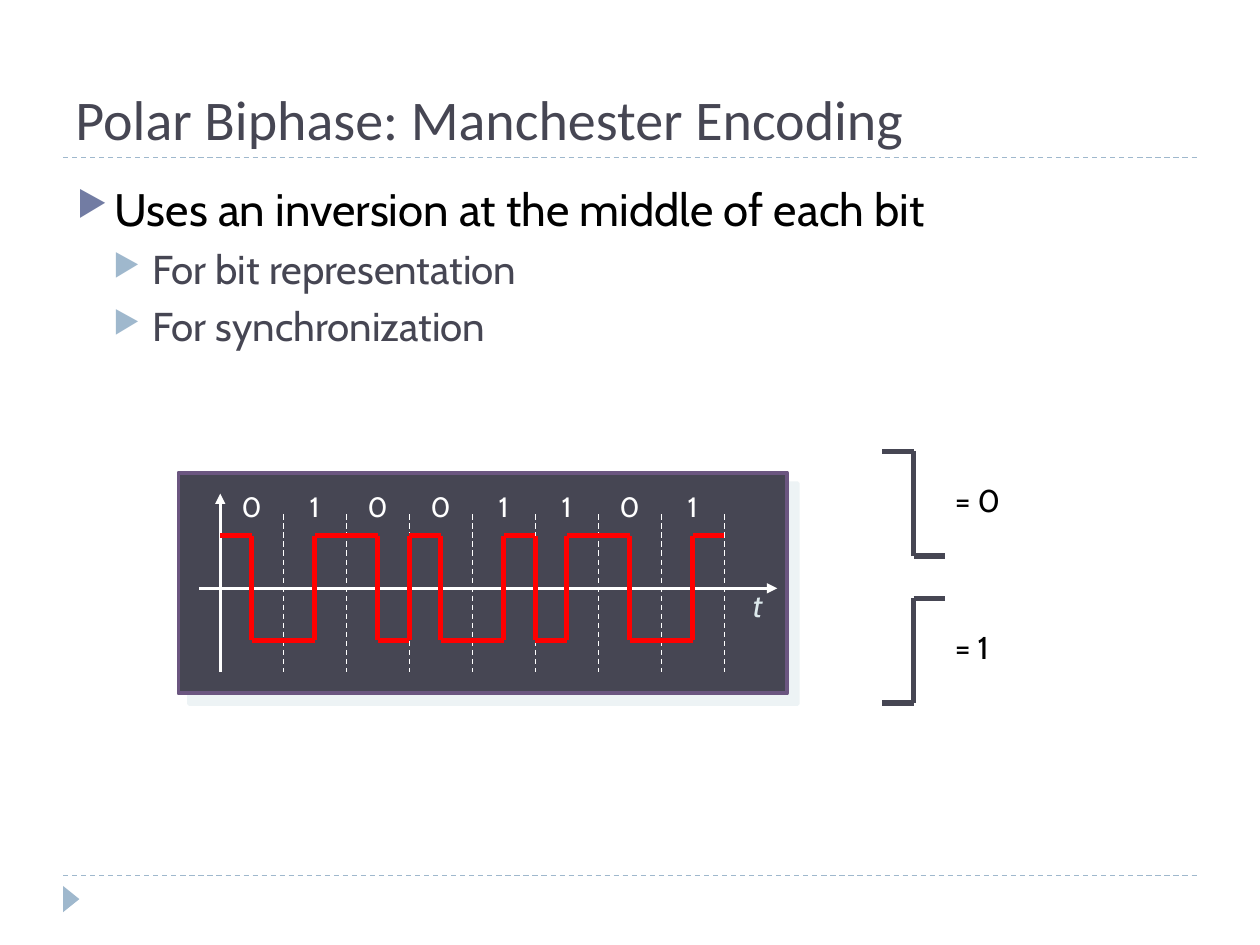
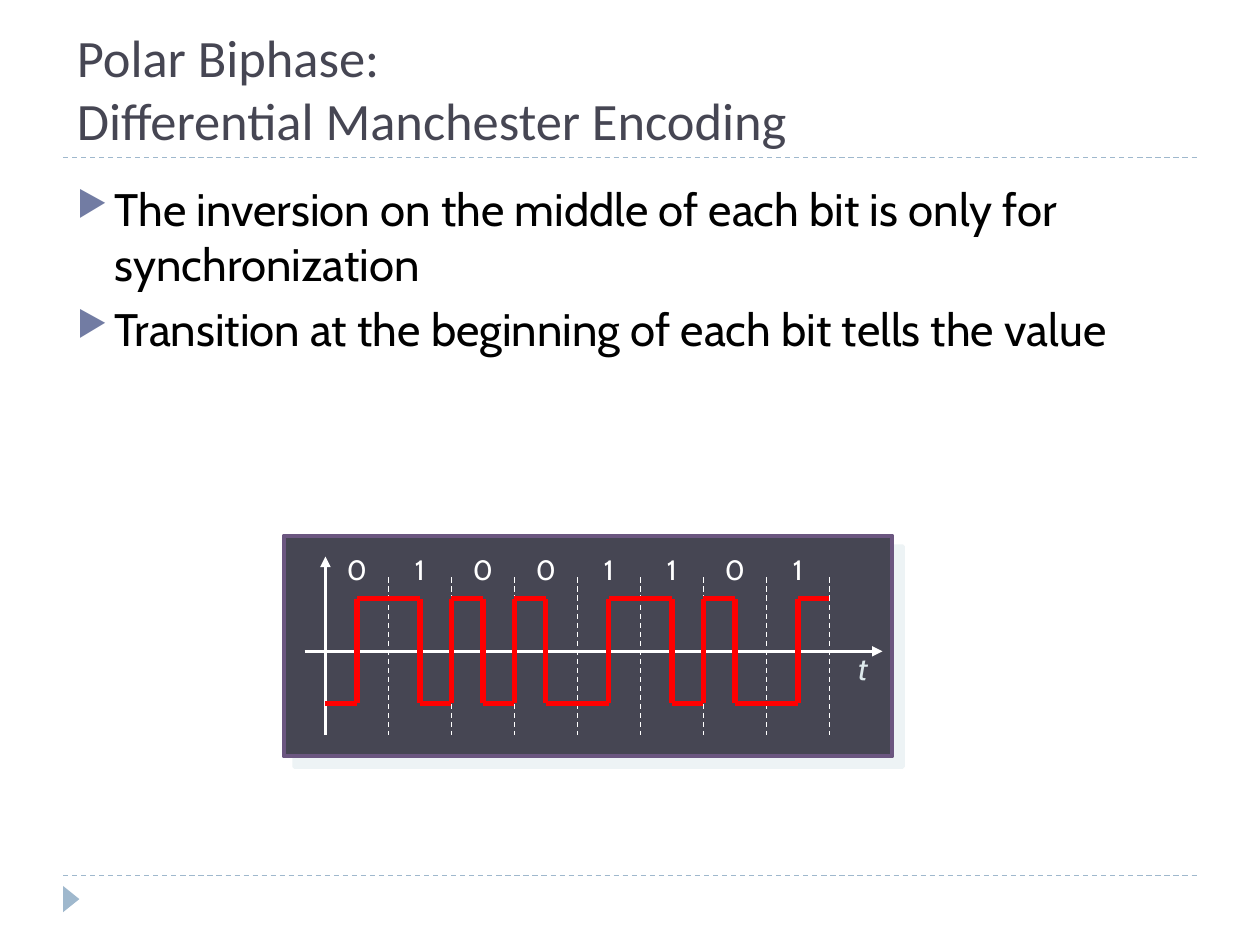
"""Build two slides on Manchester and differential Manchester encoding."""
import lxml.etree
import pptx
import pptx.dml.color
import pptx.enum.dml
import pptx.enum.shapes
import pptx.enum.text
import pptx.oxml.ns
import pptx.util

Cm = pptx.util.Cm
Pt = pptx.util.Pt
RGB = pptx.dml.color.RGBColor
qn = pptx.oxml.ns.qn
KIND = pptx.enum.shapes.MSO_SHAPE
ALIGN = pptx.enum.text.PP_ALIGN
ANCHOR = pptx.enum.text.MSO_ANCHOR

SLATE = RGB(0x46, 0x46, 0x53)
SKY = RGB(0x9F, 0xB8, 0xCD)
INDIGO = RGB(0x72, 0x7C, 0xA3)
PLUM = RGB(0x6B, 0x56, 0x80)
ICE = RGB(0xDD, 0xE9, 0xEC)
WHITE = RGB(0xFF, 0xFF, 0xFF)
BLACK = RGB(0, 0, 0)
RED = RGB(0xFF, 0, 0)

HEAD = "Calibri"
BODY = "Cabin"
BITS = "01001101"
BIT = 1.27
SWING = 2.11
LEVELS = (
    {"size": 26, "ink": BLACK, "mark": INDIGO, "left": 0.76, "hang": 0.76, "gap": 6},
    {"size": 23, "ink": SLATE, "mark": SKY, "left": 1.52, "hang": 0.79, "gap": 5},
)


def node(parent, tag, **attrs):
    """Append a DrawingML element to parent and return it."""
    item = lxml.etree.SubElement(parent, qn(tag))
    for key, value in attrs.items():
        item.set(key, str(value))
    return item


def write(para, text, size, ink, font=BODY, slant=None):
    """Add one styled run to a paragraph."""
    run = para.add_run()
    run.text = text
    run.font.size = Pt(size)
    run.font.name = font
    run.font.color.rgb = ink
    run.font.italic = slant


def frame(shapes, x, y, width, height):
    """Add a wrapping text box and return its text frame."""
    text = shapes.add_textbox(Cm(x), Cm(y), Cm(width), Cm(height)).text_frame
    text.word_wrap = True
    return text


def label(shapes, x, y, width, text, size, ink, align=ALIGN.LEFT, slant=None):
    """Add a short label in a box one line high."""
    para = frame(shapes, x, y, width, 1).paragraphs[0]
    para.alignment = align
    write(para, text, size, ink, slant=slant)


def line(shapes, start, end, ink, width, dash=False, arrow=False):
    """Draw a straight line between two points."""
    link = shapes.add_connector(
        pptx.enum.shapes.MSO_CONNECTOR.STRAIGHT, *(Cm(v) for v in (*start, *end)))
    link.line.color.rgb = ink
    link.line.width = Pt(width)
    if dash:
        link.line.dash_style = pptx.enum.dml.MSO_LINE.DASH
    props = link.element.spPr
    if arrow:
        node(props.find(qn("a:ln")), "a:tailEnd", type="triangle")
    node(props, "a:effectLst")


def title(slide, lines, size, x, y, width, height):
    """Add the slide title, anchored just above the rule."""
    text = frame(slide.shapes, x, y, width, height)
    text.vertical_anchor = ANCHOR.BOTTOM
    para = text.paragraphs[0]
    for i, part in enumerate(lines):
        if i:
            para.add_line_break()
        write(para, part, size, SLATE, HEAD)


def bullets(slide, items):
    """Add the bulleted body from (level, text) pairs."""
    text = frame(slide.shapes, 1.3, 3.53, 22.86, 13.77)
    for i, (depth, words) in enumerate(items):
        style = LEVELS[depth]
        para = text.add_paragraph() if i else text.paragraphs[0]
        para.level = depth
        if i:
            para.space_before = Pt(style["gap"])
        props = para._p.get_or_add_pPr()
        props.set("marL", str(Cm(style["left"])))
        props.set("indent", str(-Cm(style["hang"])))
        node(node(props, "a:buClr"), "a:srgbClr", val=style["mark"])
        node(props, "a:buSzPct", val=76000)
        node(props, "a:buChar", char="▶")
        write(para, words, style["size"], style["ink"])


def base(deck):
    """Add a blank slide with the two rules and the corner mark."""
    slide = deck.slides.add_slide(deck.slide_layouts[6])
    for y in (17.65, 3.18):
        line(slide.shapes, (1.27, y), (24.13, y), SKY, 0.75, dash=True)
    mark = slide.shapes.add_shape(
        KIND.ISOSCELES_TRIANGLE, Cm(1.17), Cm(17.96), Cm(0.53), Cm(0.33))
    mark.rotation = 90
    mark.shadow.inherit = False
    mark.fill.solid()
    mark.fill.fore_color.rgb = SKY
    mark.line.fill.background()
    return slide


def wave(shapes, x, y, highs, ink):
    """Draw a square wave from one high or low state per half bit."""
    half = BIT / 2
    last = highs[0]
    for i, high in enumerate(highs):
        left = x + i * half
        level = y if high else y + SWING
        if high != last:
            line(shapes, (left, y + SWING), (left, y), ink, 3)
        line(shapes, (left, level), (left + half, level), ink, 3)
        last = high


def plain(bits):
    """Return Manchester half-bit states: 0 falls and 1 rises."""
    return [high for bit in bits for high in (bit == "0", bit == "1")]


def differ(bits):
    """Return differential Manchester states: only 0 flips at its start."""
    highs = []
    high = True
    for bit in bits:
        if bit == "0":
            high = not high
        highs += [high, not high]
        high = not high
    return highs


def panel(shapes, x, y):
    """Draw the dark panel with its hard offset shadow."""
    box = shapes.add_shape(KIND.RECTANGLE, Cm(x), Cm(y), Cm(12.27), Cm(4.45))
    box.fill.solid()
    box.fill.fore_color.rgb = SLATE
    box.line.color.rgb = PLUM
    box.line.width = Pt(2.25)
    box.shadow.inherit = False
    shade = node(box.element.spPr.find(qn("a:effectLst")), "a:outerShdw",
                 dist=Pt(8.5), dir=45 * 60000, algn="ctr", rotWithShape=0)
    node(node(shade, "a:srgbClr", val=ICE), "a:alpha", val=50000)


def graph(slide, x, y, highs):
    """Draw the signal graph with axes, bit cells and wave."""
    shapes = slide.shapes.add_group_shape().shapes
    zero = x + 0.84
    foot = y + 4.02
    panel(shapes, x, y)
    line(shapes, (zero, foot), (zero, y + 0.42), WHITE, 1.5, arrow=True)
    line(shapes, (x + 0.42, y + 2.33), (x + 12.07, y + 2.33), WHITE, 1.5, arrow=True)
    label(shapes, x + 11.33, y + 2.16, 0.71, "t", 18, ICE, slant=True)
    for i, bit in enumerate(BITS):
        left = zero + i * BIT
        edge = left + BIT
        line(shapes, (edge, y + 0.84), (edge, foot), WHITE, 0.75, dash=True)
        label(shapes, left, y + 0.21, BIT, bit, 16, WHITE, ALIGN.CENTER)
    wave(shapes, zero, y + 1.27, highs, RED)


def legend(slide):
    """Show the step that stands for each bit value."""
    shapes = slide.shapes.add_group_shape().shapes
    for bit, y in (("0", 9.1), ("1", 12.06)):
        wave(shapes, 17.78, y, plain(bit), SLATE)
        label(shapes, 19, y + 0.47, 1.52, f"= {bit}", 18, BLACK)


def main():
    """Build and save both slides."""
    deck = pptx.Presentation()
    deck.slide_width = Cm(25.4)
    deck.slide_height = Cm(19.05)

    slide = base(deck)
    title(slide, ["Polar Biphase: Manchester Encoding"], 32, 1.27, 0.43, 22.86, 2.75)
    bullets(slide, [
        (0, "Uses an inversion at the middle of each bit"),
        (1, "For bit representation"),
        (1, "For synchronization"),
    ])
    graph(slide, 3.6, 9.53, plain(BITS))
    legend(slide)

    slide = base(deck)
    title(slide, ["Polar Biphase:", "Differential Manchester Encoding"],
          30, 1.3, 0.91, 24.61, 2.27)
    bullets(slide, [
        (0, "The inversion on the middle of each bit is only for synchronization"),
        (0, "Transition at the beginning of each bit tells the value"),
    ])
    graph(slide, 5.72, 10.8, differ(BITS))

    deck.save("out.pptx")


if __name__ == "__main__":
    main()
